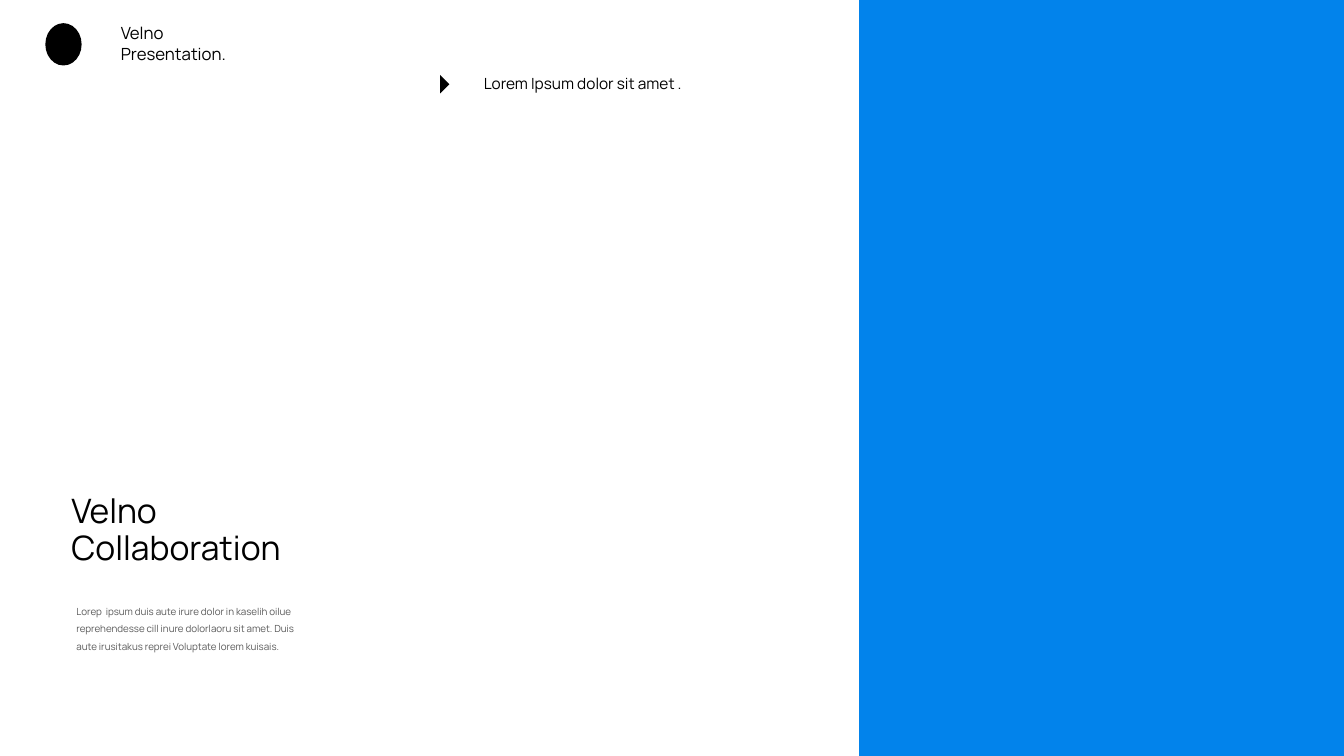
"""Builds the collaboration slide."""
from pptx import Presentation
from pptx.dml.color import RGBColor
from pptx.enum import shapes, text
from pptx.util import Inches, Pt

BLACK = RGBColor(0x00, 0x00, 0x00)
GREY = RGBColor(0x59, 0x59, 0x59)
BLUE = RGBColor(0x02, 0x83, 0xEB)
FONT = "Manrope"
SHAPE = shapes.MSO_SHAPE


def add_block(s, kind, x, y, w, h, color, rotation=0):
    """Add a solid shape without outline."""
    sp = s.shapes.add_shape(kind, Inches(x), Inches(y), Inches(w), Inches(h))
    sp.shadow.inherit = False
    sp.fill.solid()
    sp.fill.fore_color.rgb = color
    sp.line.fill.background()
    sp.rotation = rotation


def add_text(s, x, y, w, h, words, size, color=BLACK, spacing=None, wrap=True):
    """Add a text box with one paragraph per line of words."""
    sp = s.shapes.add_textbox(Inches(x), Inches(y), Inches(w), Inches(h))
    tf = sp.text_frame
    tf.word_wrap = wrap
    tf.auto_size = text.MSO_AUTO_SIZE.SHAPE_TO_FIT_TEXT
    tf.text = words
    for p in tf.paragraphs:
        p.line_spacing = spacing
        for r in p.runs:
            r.font.name = FONT
            r.font.size = Pt(size)
            r.font.color.rgb = color


def add_header(s, x, y):
    """Place the emblem and the presentation name."""
    add_block(s, SHAPE.OVAL, x, y + 0.05, 0.36, 0.42, BLACK)
    add_text(s, x + 0.65, y, 1.31, 0.5, "Velno\nPresentation.", 12)


def add_pointer(s, x, y):
    """Place the arrow marker and its line of text."""
    add_block(s, SHAPE.RIGHT_TRIANGLE, x, y + 0.08, 0.13, 0.13, BLACK, 225)
    add_text(s, x + 0.4, y, 2.5, 0.29, "Lorem Ipsum dolor sit amet .", 11)


def add_intro(s, x, y):
    """Place the title and the paragraph under it."""
    add_text(s, x, y, 2.56, 0.83, "Velno\nCollaboration", 24, spacing=0.9, wrap=False)
    add_text(s, x + 0.05, y + 1.04, 2.5, 0.79,
             "Lorep  ipsum duis aute irure dolor in kaselih oilue "
             "reprehendesse cill inure dolorlaoru sit amet. Duis aute "
             "irusitakus reprei Voluptate lorem kuisais.",
             7, GREY, 1.5)


def main():
    """Build and save the slide."""
    prs = Presentation()
    prs.slide_width, prs.slide_height = Inches(13.33), Inches(7.5)
    s = prs.slides.add_slide(prs.slide_layouts[6])
    add_block(s, SHAPE.RECTANGLE, 8.52, 0, 4.81, 7.5, BLUE)
    add_intro(s, 0.61, 4.86)
    add_pointer(s, 4.3, 0.69)
    add_header(s, 0.45, 0.18)
    prs.save("out.pptx")


if __name__ == "__main__":
    main()
